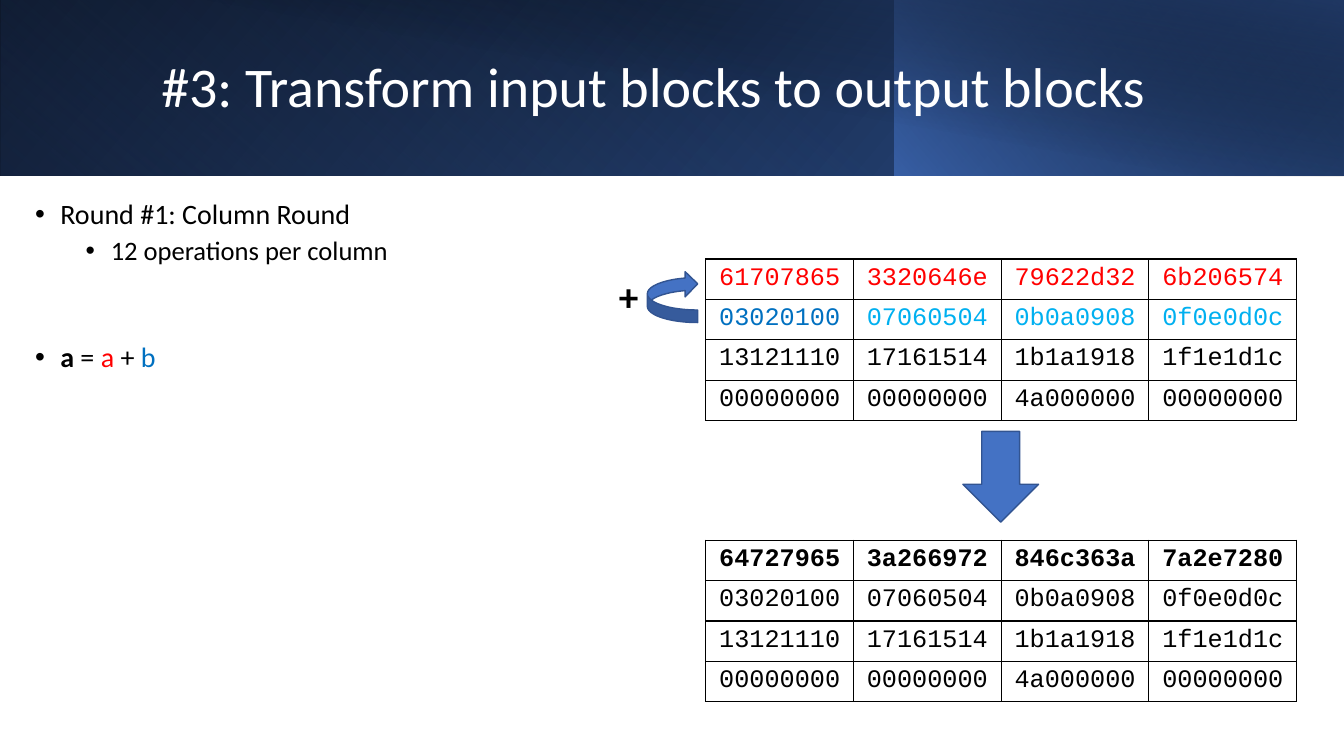
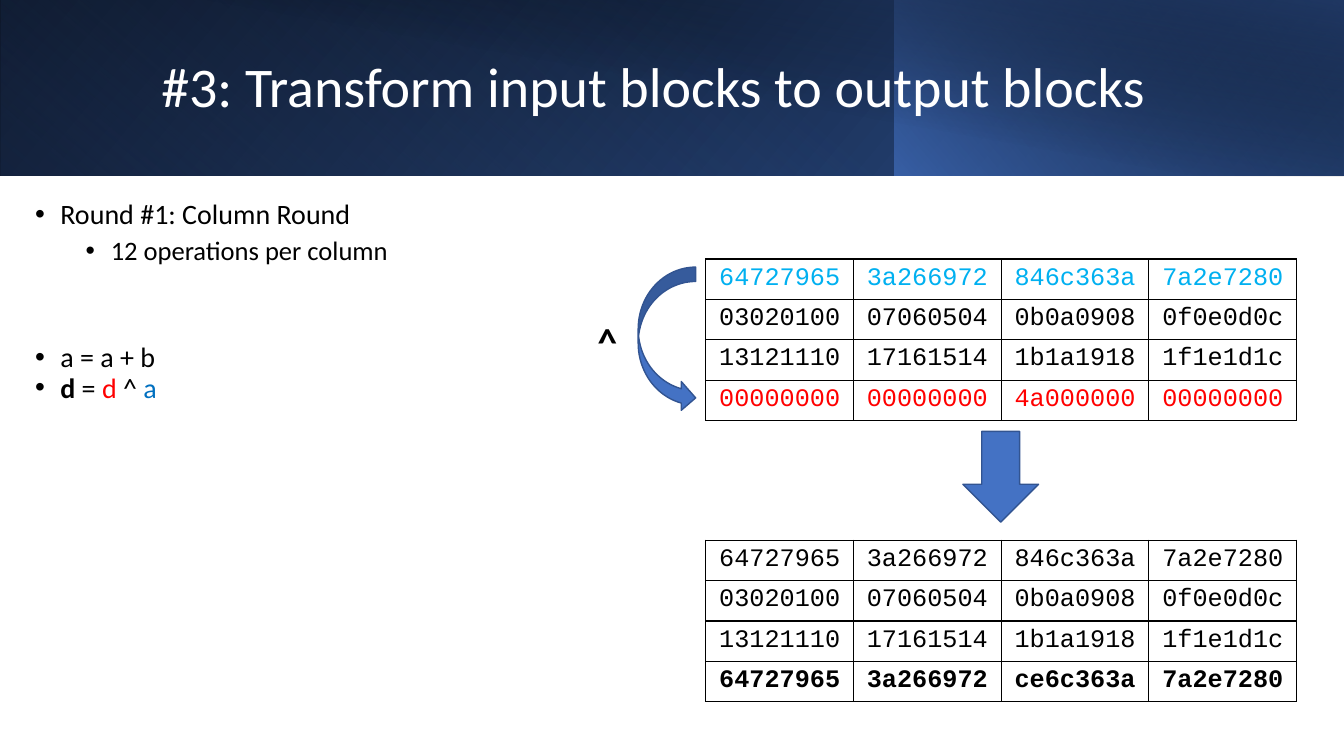
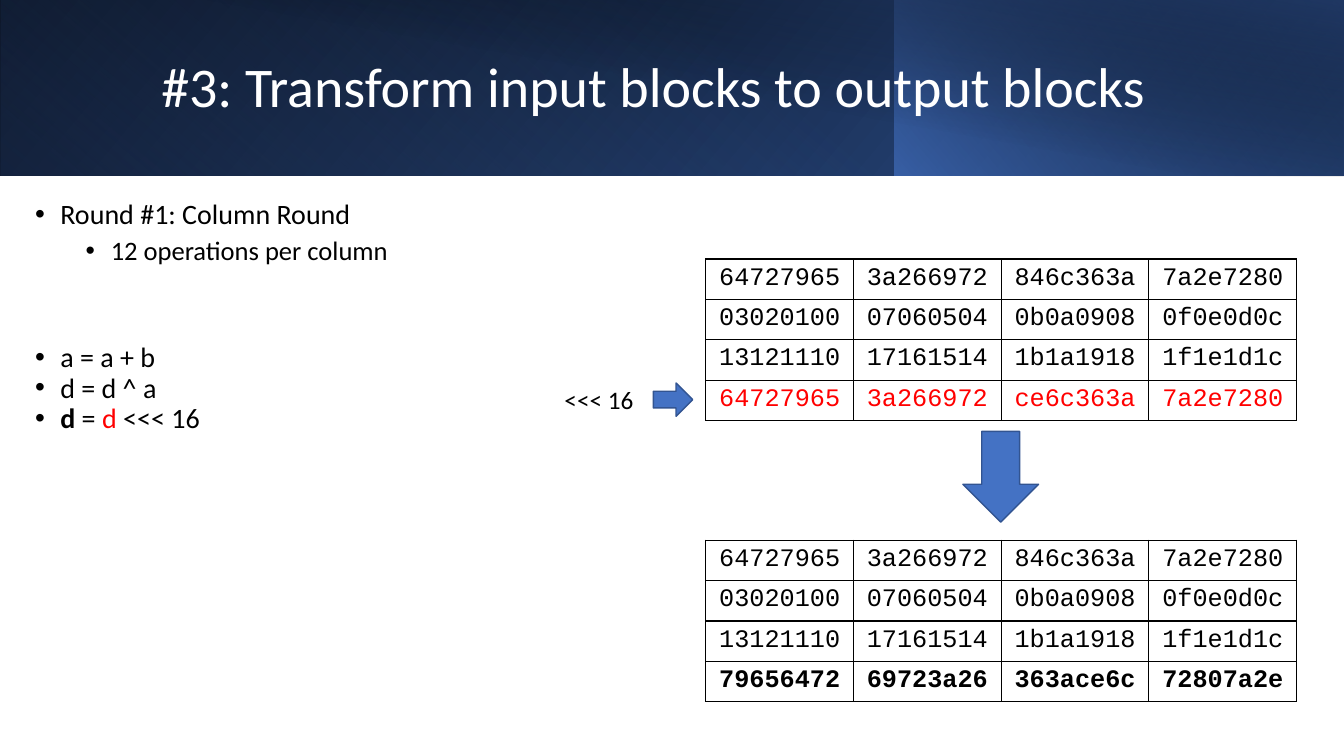
from lxml.etree import SubElement as Sub
from pptx import Presentation
from pptx.dml.color import RGBColor as RGB
from pptx.enum.shapes import MSO_SHAPE as Kind
from pptx.enum.text import MSO_ANCHOR as Anchor, MSO_AUTO_SIZE as Auto, PP_ALIGN as Align
from pptx.oxml.ns import qn
from pptx.util import Inches, Pt

BLACK = RGB(0x00, 0x00, 0x00)
WHITE = RGB(0xFF, 0xFF, 0xFF)
RED = RGB(0xFF, 0x00, 0x00)
BLUE = RGB(0x00, 0x70, 0xC0)
SKY = RGB(0x00, 0xB0, 0xF0)
ARROW = RGB(0x44, 0x72, 0xC4)
EDGE = RGB(0x32, 0x54, 0x91)
NAVY = RGB(0x20, 0x38, 0x64)
ROYAL = RGB(0x2F, 0x55, 0x97)

SANS, MONO = "Calibri", "Courier New"
TITLE = "#3: Transform input blocks to output blocks"
BANDS = [
    ((0, 0, 13.33, 1.74), 0, True, 140, [(0, BLACK, 100), (100, ROYAL, 100)]),
    ((0, 0, 8.88, 1.74), 180, True, 230, [(20, ARROW, 0), (100, NAVY, 55)]),
    ((8.87, 0, 4.46, 1.74), 0, True, 220, [(0, ARROW, 66), (100, BLACK, 30)]),
    ((0.5, 0, 12.83, 1.75), 0, False, 280, [(50, BLACK, 0), (99, NAVY, 52)]),
]

A_START = "61707865 3320646e 79622d32 6b206574"
A_SUM = "64727965 3a266972 846c363a 7a2e7280"
B_ROW = "03020100 07060504 0b0a0908 0f0e0d0c"
C_ROW = "13121110 17161514 1b1a1918 1f1e1d1c"
D_START = "00000000 00000000 4a000000 00000000"
D_XOR = "64727965 3a266972 ce6c363a 7a2e7280"
D_TURN = "79656472 69723a26 363ace6c 72807a2e"


def place(box):
    """Turn a box in inches into lengths."""
    return [Inches(side) for side in box]


def write(para, text, size, color=BLACK, bold=False, font=SANS):
    """Add one styled run to a paragraph."""
    run = para.add_run()
    run.text = text
    run.font.name, run.font.size, run.font.bold = font, Pt(size), bold
    run.font.color.rgb = color


def draw(slide, kind, box, turn=0):
    """Add a preset shape without a shadow."""
    shape = slide.shapes.add_shape(kind, *place(box))
    shape.shadow.inherit = False
    shape.rotation = turn
    return shape


def arrow(slide, kind, box, turn=0):
    """Add a block arrow."""
    shape = draw(slide, kind, box, turn)
    shape.fill.solid()
    shape.fill.fore_color.rgb = ARROW
    shape.line.color.rgb = EDGE
    shape.line.width = Pt(1)


def band(slide, box, turn, flip, angle, stops):
    """Add one gradient layer of the header."""
    shape = draw(slide, Kind.RECTANGLE, box, turn)
    shape.line.fill.background()
    shape.fill.gradient()
    props = shape._element.spPr
    if flip:
        props.find(qn("a:xfrm")).set("flipH", "1")
    grad = props.find(qn("a:gradFill"))
    grad.attrib.clear()
    for part in list(grad):
        grad.remove(part)
    group = Sub(grad, qn("a:gsLst"))
    for spot, color, alpha in stops:
        stop = Sub(group, qn("a:gs"), pos=str(spot * 1000))
        tint = Sub(stop, qn("a:srgbClr"), val=str(color))
        if alpha < 100:
            Sub(tint, qn("a:alpha"), val=str(alpha * 1000))
    Sub(grad, qn("a:lin"), ang=str(angle * 60000), scaled="0")


def head(slide):
    """Draw the header layers and set the title."""
    for layer in BANDS:
        band(slide, *layer)
    title = slide.shapes.title
    title.left, title.top, title.width, title.height = place((1.5, 0.32, 10.82, 1.13))
    slide.shapes._spTree.append(title._element)
    frame = title.text_frame
    frame.auto_size, frame.vertical_anchor = Auto.NONE, Anchor.MIDDLE
    para = frame.paragraphs[0]
    para.alignment, para.line_spacing = Align.LEFT, 0.9
    write(para, TITLE, 40, WHITE)


def bullets(slide, box, items):
    """Add a bullet list of (left indent, space before, size, runs)."""
    frame = slide.shapes.add_textbox(*place(box)).text_frame
    frame.word_wrap = True
    for rank, (left, gap, size, runs) in enumerate(items):
        para = frame.add_paragraph() if rank else frame.paragraphs[0]
        para.line_spacing, para.space_before = 0.9, Pt(gap)
        props = para._p.get_or_add_pPr()
        props.set("marL", str(Inches(left)))
        props.set("indent", str(Inches(-0.25)))
        Sub(props, qn("a:buFont"), typeface="Arial")
        Sub(props, qn("a:buChar"), char="•")
        for run in runs:
            write(para, run[0], size, *run[1:])


def label(slide, box, text, size, bold=True, wrap=True):
    """Add the sign of the operation."""
    frame = slide.shapes.add_textbox(*place(box)).text_frame
    frame.word_wrap, frame.auto_size = wrap, Auto.SHAPE_TO_FIT_TEXT
    write(frame.paragraphs[0], text, size, bold=bold)


def border(cell):
    """Give a cell thin black sides and no fill."""
    props = cell._tc.get_or_add_tcPr()
    for side in ("a:lnL", "a:lnR", "a:lnT", "a:lnB"):
        line = Sub(props, qn(side), w=str(Pt(1)))
        Sub(Sub(line, qn("a:solidFill")), qn("a:srgbClr"), val=str(BLACK))
    cell.fill.background()


def matrix(slide, top, rows, hues=None, strong=None):
    """Add a block of words, with row colours and one bold row."""
    frame = slide.shapes.add_table(4, 4, *place((7, top, 5.86, 1.36)))
    table = frame.table
    table.first_row = table.horz_banding = False
    for row, words in enumerate(rows):
        table.rows[row].height = Inches(0.34)
        colors = (hues or {}).get(row, [BLACK] * 4)
        for col, (word, color) in enumerate(zip(words.split(), colors)):
            cell = table.cell(row, col)
            border(cell)
            para = cell.text_frame.paragraphs[0]
            para.alignment = Align.CENTER
            write(para, word, 18, color, row == strong, MONO)


def step(deck, sums, before, after, hues, strong):
    """Add a slide for one operation and return it."""
    slide = deck.slides.add_slide(deck.slide_layouts[5])
    head(slide)
    bullets(slide, (0.25, 1.94, 5.41, 1.26), [
        (0.25, 10, 20, [("Round #1: Column Round",)]),
        (0.75, 5, 19, [("12 operations per column",)]),
    ])
    bullets(slide, (0.25, 3.36, 5.41, 4), [(0.25, 0, 20, runs) for runs in sums])
    matrix(slide, 2.57, before, hues)
    matrix(slide, 5.36, after, strong=strong)
    arrow(slide, Kind.DOWN_ARROW, (9.55, 4.28, 0.75, 0.9))
    return slide


def main():
    """Build and save the deck."""
    deck = Presentation()
    deck.slide_width, deck.slide_height = Inches(13.33), Inches(7.5)
    start = [A_START, B_ROW, C_ROW, D_START]
    added = [A_SUM, B_ROW, C_ROW, D_START]
    mixed = [A_SUM, B_ROW, C_ROW, D_XOR]
    turned = [A_SUM, B_ROW, C_ROW, D_TURN]

    sums = [[("a", BLACK, True), (" = ",), ("a", RED), (" + ",), ("b", BLUE)]]
    hues = {0: [RED] * 4, 1: [BLUE] + [SKY] * 3}
    slide = step(deck, sums, start, added, hues, 0)
    arrow(slide, Kind.CURVED_LEFT_ARROW, (6.42, 2.69, 0.5, 0.51), 180)
    label(slide, (6.04, 2.65, 0.48, 0.57), "+", 28)

    sums = [[("a = a + b",)],
            [("d", BLACK, True), (" = ",), ("d", RED), (" ^ ",), ("a", BLUE)]]
    slide = step(deck, sums, added, mixed, {0: [SKY] * 4, 3: [RED] * 4}, 3)
    arrow(slide, Kind.CURVED_RIGHT_ARROW, (6.33, 2.65, 0.57, 1.44))
    label(slide, (5.83, 3.1, 0.48, 0.57), "^", 28)

    sums = [[("a = a + b",)], [("d = d ^ a",)],
            [("d", BLACK, True), (" = ",), ("d", RED), (" <<< 16",)]]
    slide = step(deck, sums, mixed, turned, {3: [RED] * 4}, 3)
    arrow(slide, Kind.RIGHT_ARROW, (6.48, 3.8, 0.39, 0.33))
    label(slide, (5.5, 3.76, 0.89, 0.4), "<<< 16", 18, False, False)

    deck.save("out.pptx")


main()
